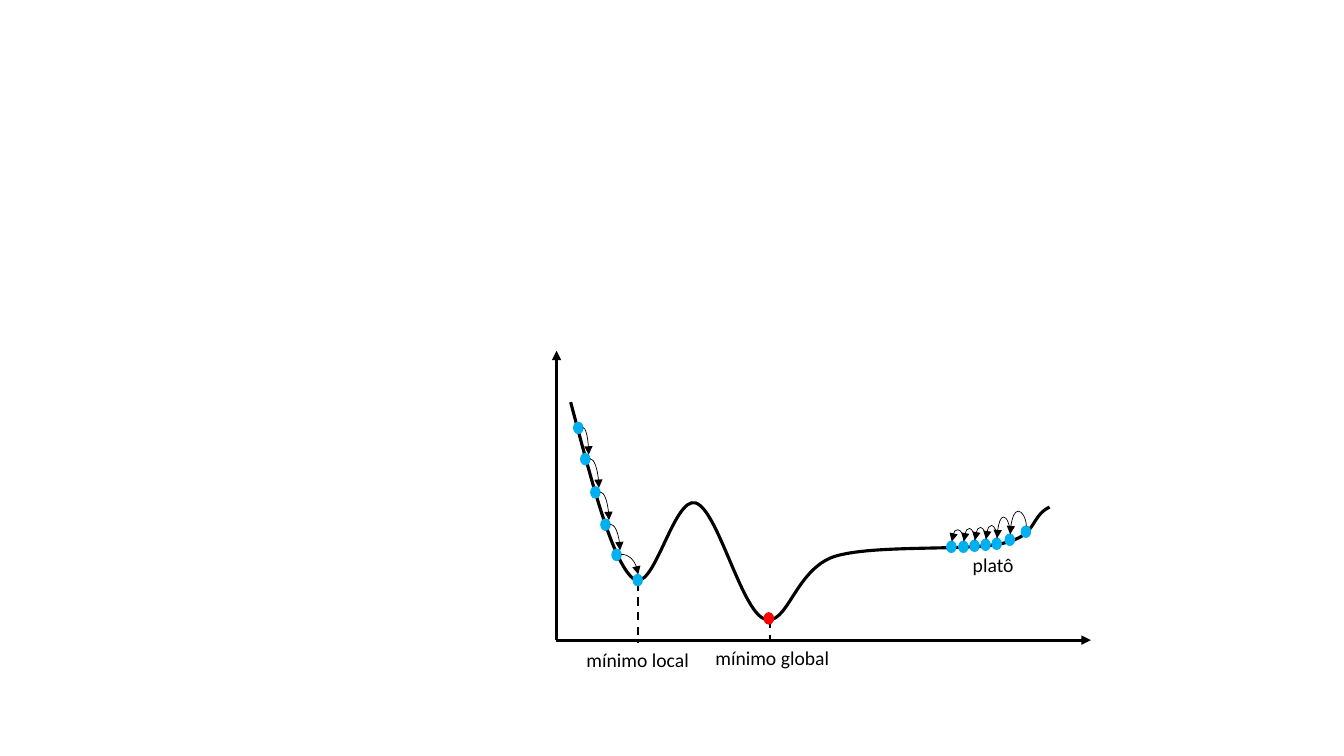
from itertools import pairwise

from lxml import etree
from pptx import Presentation
from pptx import util as u
from pptx.dml.color import RGBColor
from pptx.enum import dml, shapes, text
from pptx.oxml.ns import qn

COLORS = {"ink": "000000", "step": "00B0F0", "goal": "FF0000"}
COLS, ROWS = 1333, 750
DOT_W, DOT_H = 9, 11


class Sketch:
    font = {"name": "Calibri", "size": u.Pt(14)}
    frame = {"word_wrap": True, "auto_size": text.MSO_AUTO_SIZE.SHAPE_TO_FIT_TEXT}

    def __init__(self, prs):
        self.unit = u.Inches(13.33) / COLS
        prs.slide_width, prs.slide_height = self.size(COLS), self.size(ROWS)
        self.s = prs.slides.add_slide(prs.slide_layouts[6])

    def size(self, *cells):
        values = [u.Emu(round(c * self.unit)) for c in cells]
        return values if len(values) > 1 else values[0]

    def color(self, name):
        return RGBColor.from_string(COLORS[name])

    def apply(self, target, values):
        for key, value in values.items():
            setattr(target, key, value)

    def dot(self, col, row, color="step"):
        sp = self.s.shapes.add_shape(
            shapes.MSO_SHAPE.FLOWCHART_CONNECTOR, *self.size(col, row, DOT_W, DOT_H))
        sp.shadow.inherit = False
        sp.fill.solid()
        sp.fill.fore_color.rgb = self.color(color)
        sp.line.color.rgb = self.color(color)
        sp.line.width = u.Pt(1)

    def label(self, words, *box):
        tf = self.s.shapes.add_textbox(*self.size(*box)).text_frame
        self.apply(tf, self.frame)
        p = tf.paragraphs[0]
        p.alignment = text.PP_ALIGN.CENTER
        r = p.add_run()
        r.text = words
        self.apply(r.font, self.font)
        r.font.color.rgb = self.color("ink")

    def line(self, start, end, width, kind=shapes.MSO_CONNECTOR.STRAIGHT, arrow=False, dash=False):
        sp = self.s.shapes.add_connector(kind, *self.size(*start, *end))
        sp.line.color.rgb = self.color("ink")
        sp.line.width = u.Pt(width)
        if dash:
            sp.line.dash_style = dml.MSO_LINE.DASH
        if arrow:
            ln = sp._element.spPr.find(qn("a:ln"))
            etree.SubElement(ln, qn("a:tailEnd"), type="triangle")
        etree.SubElement(sp._element.spPr, qn("a:effectLst"))
        return sp

    def slide_down(self, start, end):
        sp = self.line(start, end, 0.5, shapes.MSO_CONNECTOR.CURVE, arrow=True)
        sp._element.spPr.find(qn("a:prstGeom")).set("prst", "curvedConnector2")

    def hop(self, start, end, rise):
        (x1, y1), (x2, y2) = start, end
        cx, cy = (x1 + x2) / 2, (y1 + y2) / 2
        drop, reach = max(y2 - y1, 0.5), x1 - x2
        sp = self.line((cx + drop / 2, cy + reach / 2), (cx - drop / 2, cy - reach / 2),
                       0.5, shapes.MSO_CONNECTOR.CURVE, arrow=True)
        spPr = sp._element.spPr
        spPr.find(qn("a:xfrm")).set("rot", str(270 * 60000))
        geom = spPr.find(qn("a:prstGeom"))
        guides = geom.find(qn("a:avLst"))
        if guides is None:
            guides = etree.SubElement(geom, qn("a:avLst"))
        etree.SubElement(guides, qn("a:gd"), name="adj1",
                         fmla=f"val {round(-rise / drop * 100000)}")

    def curve(self, points, height):
        fb = self.s.shapes.build_freeform(*points[0], scale=self.unit)
        fb.add_line_segments(points[1:], close=False)
        sp = fb.convert_to_shape()
        path = next(sp._element.iter(qn("a:path")))
        segments = path.findall(qn("a:lnTo"))
        for i in range(0, len(segments), 3):
            bezier = etree.SubElement(path, qn("a:cubicBezTo"))
            for seg in segments[i:i + 3]:
                bezier.append(seg[0])
                path.remove(seg)
        path.set("h", str(height))
        sp.height = self.size(height)
        sp.shadow.inherit = False
        sp.fill.background()
        sp.line.color.rgb = self.color("ink")
        sp.line.width = u.Pt(2.25)


LOSS = [
    (566, 399), (587, 478), (607, 557), (628, 574), (648, 591), (668, 492), (690, 499),
    (712, 506), (735, 605), (758, 614), (781, 623), (788, 565), (828, 552),
    (867, 540), (959, 547), (995, 539), (1030, 531), (1021, 513), (1041, 503),
]
DESCENT = [(569, 419), (576, 450), (586, 483), (596, 515), (607, 545), (628, 570)]
PLATEAU = [(1013, 522), (997, 530), (984, 534), (973, 535), (962, 536), (951, 537), (939, 537)]
RISES = [15, 17, 13, 12, 12, 11]


def main():
    prs = Presentation()
    sk = Sketch(prs)
    sk.curve(LOSS, 216)

    for col, row in DESCENT[:-1] + PLATEAU:
        sk.dot(col, row)
    for (x1, y1), (x2, y2) in pairwise(DESCENT):
        landing = (x2 + 5, y2) if (x2, y2) == DESCENT[-1] else (x2 + 8, y2 + 1)
        sk.slide_down((x1 + DOT_W, y1 + 5), landing)
    for ((x1, y1), (x2, y2)), rise in zip(pairwise(PLATEAU), RISES):
        sk.hop((x1 + 5, y1), (x2 + 5, y2), rise)

    for start, end in [((552, 635), (552, 348)), ((551, 635), (1082, 635))]:
        sk.line(start, end, 2.25, arrow=True)
    for col, top, bottom in [(633, 578, 637), (764, 615, 634)]:
        sk.line((col, top), (col, bottom), 1.5, dash=True)

    sk.dot(*DESCENT[-1])
    sk.dot(758, 608, "goal")
    sk.label("mínimo local", 554, 638, 157, 34)
    sk.label("mínimo global", 660, 636, 212, 34)
    sk.label("platô", 879, 544, 212, 34)
    prs.save("out.pptx")


if __name__ == "__main__":
    main()
